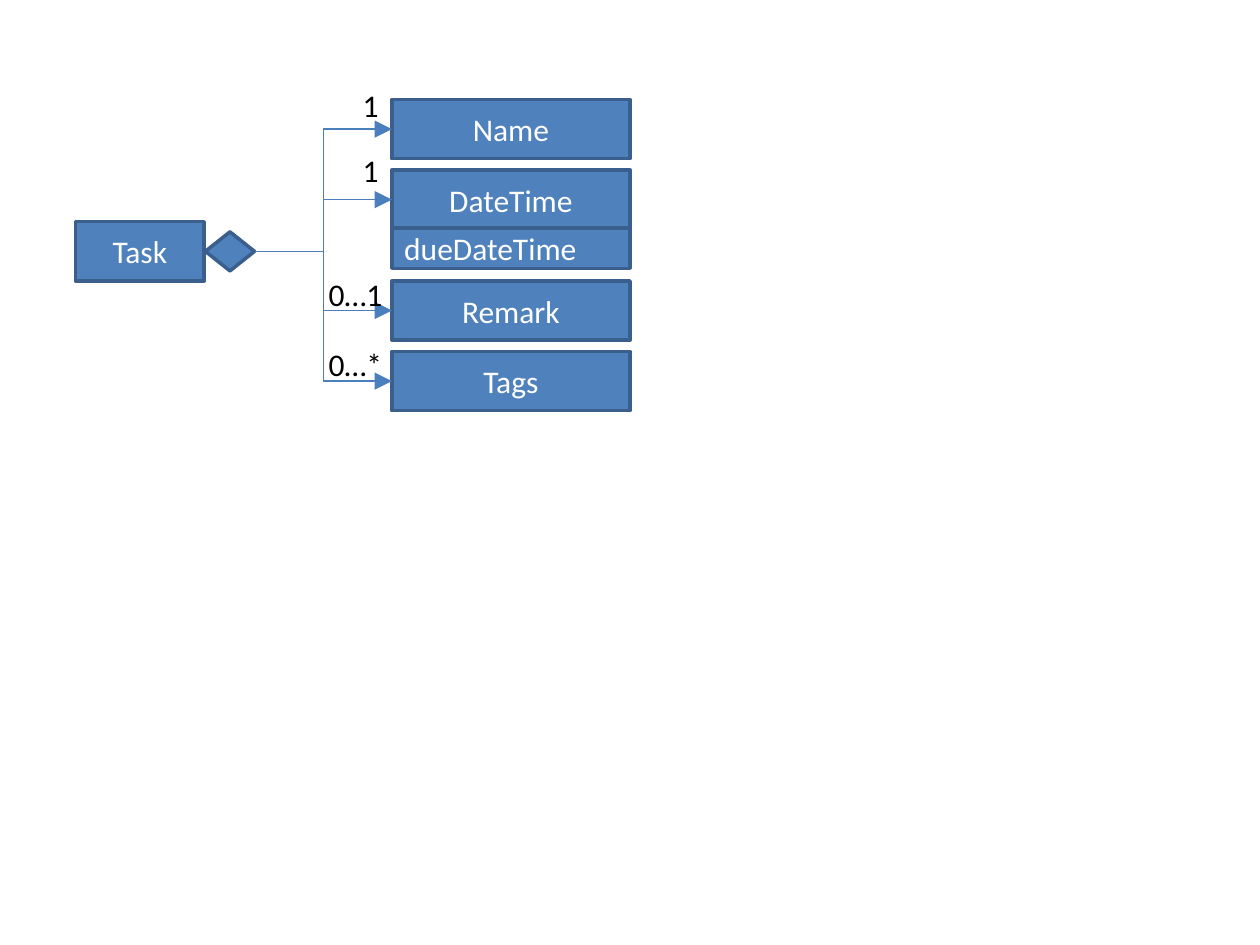
from dataclasses import dataclass

from pptx import Presentation
from pptx.dml.color import RGBColor
from pptx.enum.shapes import MSO_CONNECTOR, MSO_SHAPE
from pptx.enum.text import MSO_ANCHOR, MSO_AUTO_SIZE, PP_ALIGN
from pptx.oxml.ns import qn
from pptx.shapes.autoshape import Shape
from pptx.shapes.connector import Connector
from pptx.slide import Slide
from pptx.text.text import TextFrame
from pptx.util import Inches, Pt
from lxml.etree import SubElement

BLUE = RGBColor(0x4F, 0x81, 0xBD)
EDGE = RGBColor(0x3A, 0x5F, 0x8C)
WIRE = RGBColor(0x4B, 0x7E, 0xBC)
WHITE = RGBColor(0xFF, 0xFF, 0xFF)
BLACK = RGBColor(0, 0, 0)

WIDE, HIGH = 10, 7.5
LEFT, SPAN, TALL = 3.11, 1.89, 0.47
TOP, GAP, FIELD = 0.79, 0.09, 0.32


@dataclass(frozen=True)
class Part:
    name: str
    count: str
    rise: float
    field: str = ""


@dataclass(frozen=True)
class Area:
    left: float
    top: float
    width: float
    height: float

    def emu(self) -> list[int]:
        return [Inches(n) for n in (self.left, self.top, self.width, self.height)]


PARTS = [
    Part("Name", "1", 0.16),
    Part("DateTime", "1", 0.2, "dueDateTime"),
    Part("Remark", "0…1", 0.1),
    Part("Tags", "0…*", 0.1),
]


def write(frame: TextFrame, text: str, *, color: RGBColor = WHITE,
          align: PP_ALIGN = PP_ALIGN.CENTER, size: int = 18) -> None:
    line = frame.paragraphs[0]
    line.alignment = align
    run = line.add_run()
    run.text = text
    run.font.name = "Calibri"
    run.font.size = Pt(size)
    run.font.color.rgb = color


def block(slide: Slide, area: Area, text: str = "", *,
          kind: MSO_SHAPE = MSO_SHAPE.RECTANGLE,
          align: PP_ALIGN = PP_ALIGN.CENTER) -> Shape:
    shape = slide.shapes.add_shape(kind, *area.emu())
    shape.shadow.inherit = False
    shape.fill.solid()
    shape.fill.fore_color.rgb = BLUE
    shape.line.color.rgb = EDGE
    shape.line.width = Pt(2)
    shape.text_frame.vertical_anchor = MSO_ANCHOR.MIDDLE
    if text:
        write(shape.text_frame, text, align=align)
    return shape


def label(slide: Slide, area: Area, text: str) -> None:
    frame = slide.shapes.add_textbox(*area.emu()).text_frame
    frame.word_wrap = False
    frame.auto_size = MSO_AUTO_SIZE.SHAPE_TO_FIT_TEXT
    write(frame, text, color=BLACK, align=PP_ALIGN.LEFT)


def link(slide: Slide, start: Shape, end: Shape) -> Connector:
    wire = slide.shapes.add_connector(MSO_CONNECTOR.ELBOW, 0, 0, 0, 0)
    wire.begin_connect(start, 3)
    wire.end_connect(end, 1)
    wire.line.color.rgb = WIRE
    wire.line.width = Pt(0.75)
    SubElement(wire.line._get_or_add_ln(), qn("a:tailEnd"),
               type="triangle", w="lg", len="lg")
    SubElement(wire._element.spPr, qn("a:effectLst"))
    return wire


def main() -> None:
    deck = Presentation()
    deck.slide_width, deck.slide_height = Inches(WIDE), Inches(HIGH)
    slide = deck.slides.add_slide(deck.slide_layouts[6])

    block(slide, Area(0.6, 1.76, 1.02, TALL), "Task")
    root = block(slide, Area(1.63, 1.84, 0.39, 0.31),
                 kind=MSO_SHAPE.FLOWCHART_DECISION)

    top = TOP
    for part in PARTS:
        box = block(slide, Area(LEFT, top, SPAN, TALL), part.name)
        link(slide, root, box)
        if len(part.count) == 1:
            spot = Area(2.78, top - part.rise, 0.33, 0.4)
        else:
            spot = Area(2.51, top - part.rise, 0.63, 0.4)
        label(slide, spot, part.count)
        top += TALL
        if part.field:
            block(slide, Area(LEFT, top - 0.01, SPAN, FIELD), part.field,
                  align=PP_ALIGN.LEFT)
            top += FIELD
        top += GAP

    deck.save("out.pptx")


if __name__ == "__main__":
    main()
